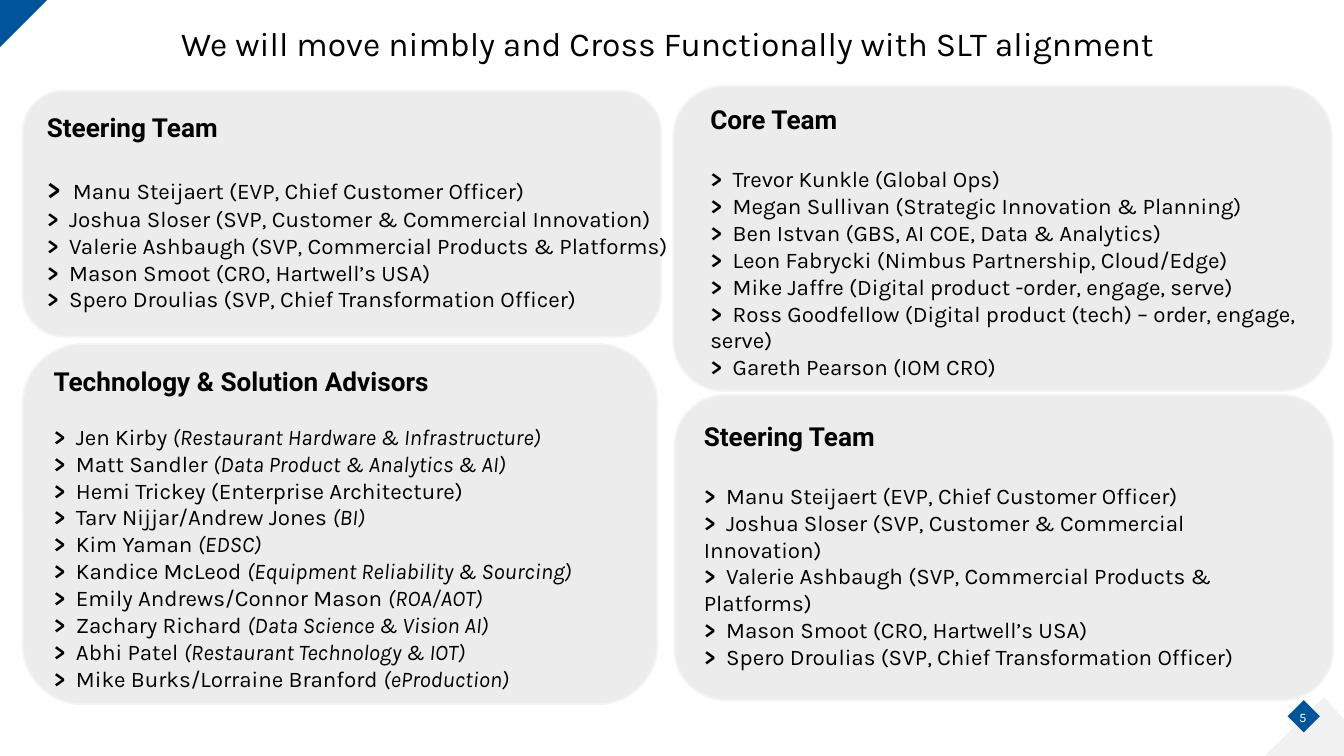
from dataclasses import dataclass

from lxml.etree import SubElement
from pptx import Presentation
from pptx.dml.color import RGBColor
from pptx.enum.shapes import MSO_SHAPE
from pptx.enum.text import MSO_ANCHOR, MSO_AUTO_SIZE, PP_ALIGN
from pptx.oxml.ns import qn
from pptx.util import Pt


@dataclass(frozen=True)
class Theme:
    heading_font: str = "Roboto"
    body_font: str = "Karla"
    title_size: int = 18
    heading_size: int = 14
    body_size: int = 12
    number_size: int = 7
    ink: str = "000000"
    accent: str = "00549A"
    card: str = "E6E6E6"
    card_edge: str = "F4F4F4"
    corner: str = "E5E5E5"
    white: str = "FFFFFF"


THEME = Theme()
TITLE = "We will move nimbly and Cross Functionally with SLT alignment"
PAGE_NUMBER = "5"

STEERING = [
    ("Manu Steijaert (EVP, Chief Customer Officer)", ""),
    ("Joshua Sloser (SVP, Customer & Commercial Innovation)", ""),
    ("Valerie Ashbaugh (SVP, Commercial Products & Platforms)", ""),
    ("Mason Smoot (CRO, Hartwell’s USA)", ""),
    ("Spero Droulias (SVP, Chief Transformation Officer)", ""),
]
CORE = [
    ("Trevor Kunkle (Global Ops)", ""),
    ("Megan Sullivan (Strategic Innovation & Planning)", ""),
    ("Ben Istvan (GBS, AI COE, Data & Analytics)", ""),
    ("Leon Fabrycki (Nimbus Partnership, Cloud/Edge)", ""),
    ("Mike Jaffre (Digital product -order, engage, serve)", ""),
    ("Ross Goodfellow (Digital product (tech) – order, engage, serve)", ""),
    ("Gareth Pearson (IOM CRO)", ""),
]
ADVISORS = [
    ("Jen Kirby ", "(Restaurant Hardware & Infrastructure)"),
    ("Matt Sandler ", "(Data Product & Analytics & AI)"),
    ("Hemi Trickey (Enterprise Architecture)", ""),
    ("Tarv Nijjar/Andrew Jones ", "(BI)"),
    ("Kim Yaman ", "(EDSC)"),
    ("Kandice McLeod ", "(Equipment Reliability & Sourcing)"),
    ("Emily Andrews/Connor Mason ", "(ROA/AOT)"),
    ("Zachary Richard ", "(Data Science & Vision AI)"),
    ("Abhi Patel ", "(Restaurant Technology & IOT)"),
    ("Mike Burks/Lorraine Branford ", "(eProduction)"),
]

# Frames are left, top, width, height in points.
TEAMS = [
    {"heading": "Technology & Solution Advisors", "members": ADVISORS, "gap": 14,
     "first_marker": 12, "card": (12.2, 184.3, 340, 193), "text": (21.6, 192.2, 334.8, 186.5)},
    {"heading": "Steering Team", "members": STEERING, "gap": 16.4,
     "first_marker": 12, "card": (361.4, 211.7, 352.8, 163.4), "text": (370, 221.4, 335.5, 128.2)},
    {"heading": "Core Team", "members": CORE, "gap": 16.4,
     "first_marker": 12, "card": (360.7, 46.1, 352.8, 163.4), "text": (373.4, 51.8, 359.3, 157.7)},
    {"heading": "Steering Team", "members": STEERING, "gap": 16.4,
     "first_marker": 14, "card": (12.2, 48.6, 342, 131.8), "text": (18, 56.2, 374.4, 118.8)},
]


def points(frame):
    return [Pt(value) for value in frame]


def paint(shape, color, opacity=100, edge=None):
    shape.shadow.inherit = False
    shape.fill.solid()
    shape.fill.fore_color.rgb = RGBColor.from_string(color)
    if opacity < 100:
        tint = shape.element.spPr.find(qn("a:solidFill")).find(qn("a:srgbClr"))
        SubElement(tint, qn("a:alpha"), val=str(opacity * 1000))
    if edge:
        shape.line.color.rgb = RGBColor.from_string(edge)
        shape.line.width = Pt(1)
    else:
        shape.line.fill.background()


def add_span(para, text, size, font=THEME.body_font, color=THEME.ink, bold=False, italic=False):
    span = para.add_run()
    span.text = text
    span.font.size = Pt(size)
    span.font.name = font
    span.font.bold = bold
    span.font.italic = italic
    span.font.color.rgb = RGBColor.from_string(color)


def add_text_frame(page, frame, wrap=True):
    text_frame = page.shapes.add_textbox(*points(frame)).text_frame
    text_frame.word_wrap = wrap
    text_frame.auto_size = MSO_AUTO_SIZE.SHAPE_TO_FIT_TEXT
    return text_frame


def set_tab_stop(para, position):
    tabs = SubElement(para._p.get_or_add_pPr(), qn("a:tabLst"))
    SubElement(tabs, qn("a:tab"), pos=str(Pt(position)), algn="l")


def add_corners(page):
    builder = page.shapes.build_freeform(Pt(709.2), Pt(373.7))
    builder.add_line_segments([(Pt(x), Pt(y)) for x, y in [(720, 385.2), (720, 405), (677.5, 405)]])
    paint(builder.convert_to_shape(), THEME.corner, 50)
    diamond = page.shapes.add_shape(MSO_SHAPE.DIAMOND, *points((689.8, 375.1, 17.3, 17.3)))
    paint(diamond, THEME.accent)
    triangle = page.shapes.add_shape(MSO_SHAPE.ISOSCELES_TRIANGLE, *points((0, 0, 25.2, 25.2)))
    triangle.adjustments[0] = 0
    triangle.rotation = 90
    paint(triangle, THEME.accent)


def add_team(page, team):
    card = page.shapes.add_shape(MSO_SHAPE.ROUNDED_RECTANGLE, *points(team["card"]))
    paint(card, THEME.card, 74, THEME.card_edge)
    text_frame = add_text_frame(page, team["text"])
    heading = text_frame.paragraphs[0]
    heading.space_after = Pt(team["gap"])
    add_span(heading, team["heading"], THEME.heading_size, THEME.heading_font, bold=True)
    for index, (name, role) in enumerate(team["members"]):
        marker_size = THEME.body_size if index else team["first_marker"]
        para = text_frame.add_paragraph()
        set_tab_stop(para, marker_size)
        add_span(para, ">", marker_size, bold=True)
        add_span(para, "\t" + name, THEME.body_size)
        if role:
            add_span(para, role, THEME.body_size, italic=True)


def add_page_number(page):
    text_frame = add_text_frame(page, (692.6, 379.4, 10.8, 9.4), wrap=False)
    text_frame.margin_left = text_frame.margin_right = 0
    text_frame.margin_top = text_frame.margin_bottom = 0
    text_frame.vertical_anchor = MSO_ANCHOR.MIDDLE
    para = text_frame.paragraphs[0]
    para.alignment = PP_ALIGN.CENTER
    add_span(para, PAGE_NUMBER, THEME.number_size, color=THEME.white)


def main():
    deck = Presentation()
    deck.slide_width, deck.slide_height = Pt(720), Pt(405)
    page = deck.slides.add_slide(deck.slide_layouts[6])
    add_corners(page)
    for team in TEAMS:
        add_team(page, team)
    add_page_number(page)
    title = add_text_frame(page, (90, 8.6, 630, 28.8))
    add_span(title.paragraphs[0], TITLE, THEME.title_size)
    deck.save("out.pptx")


if __name__ == "__main__":
    main()
